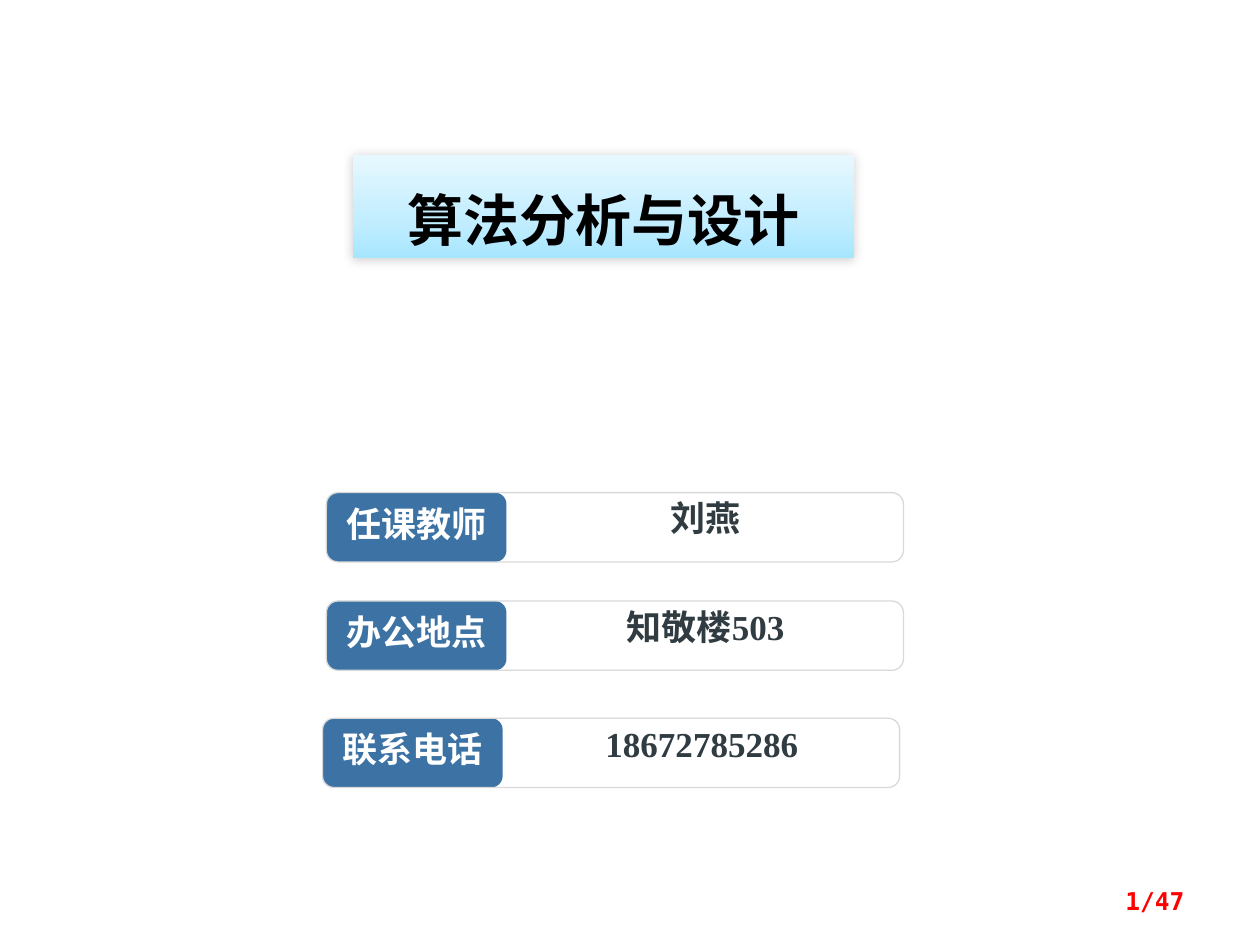
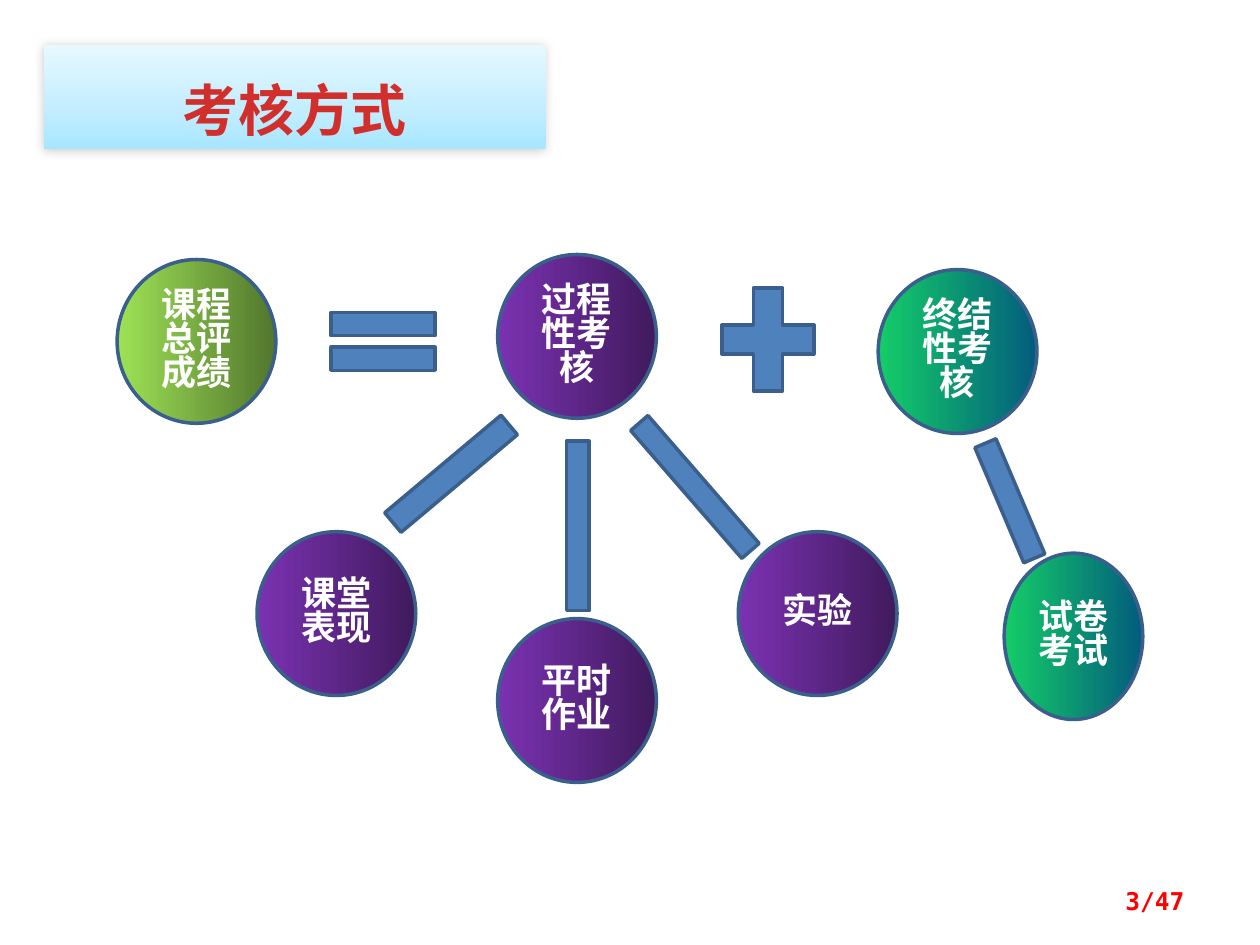
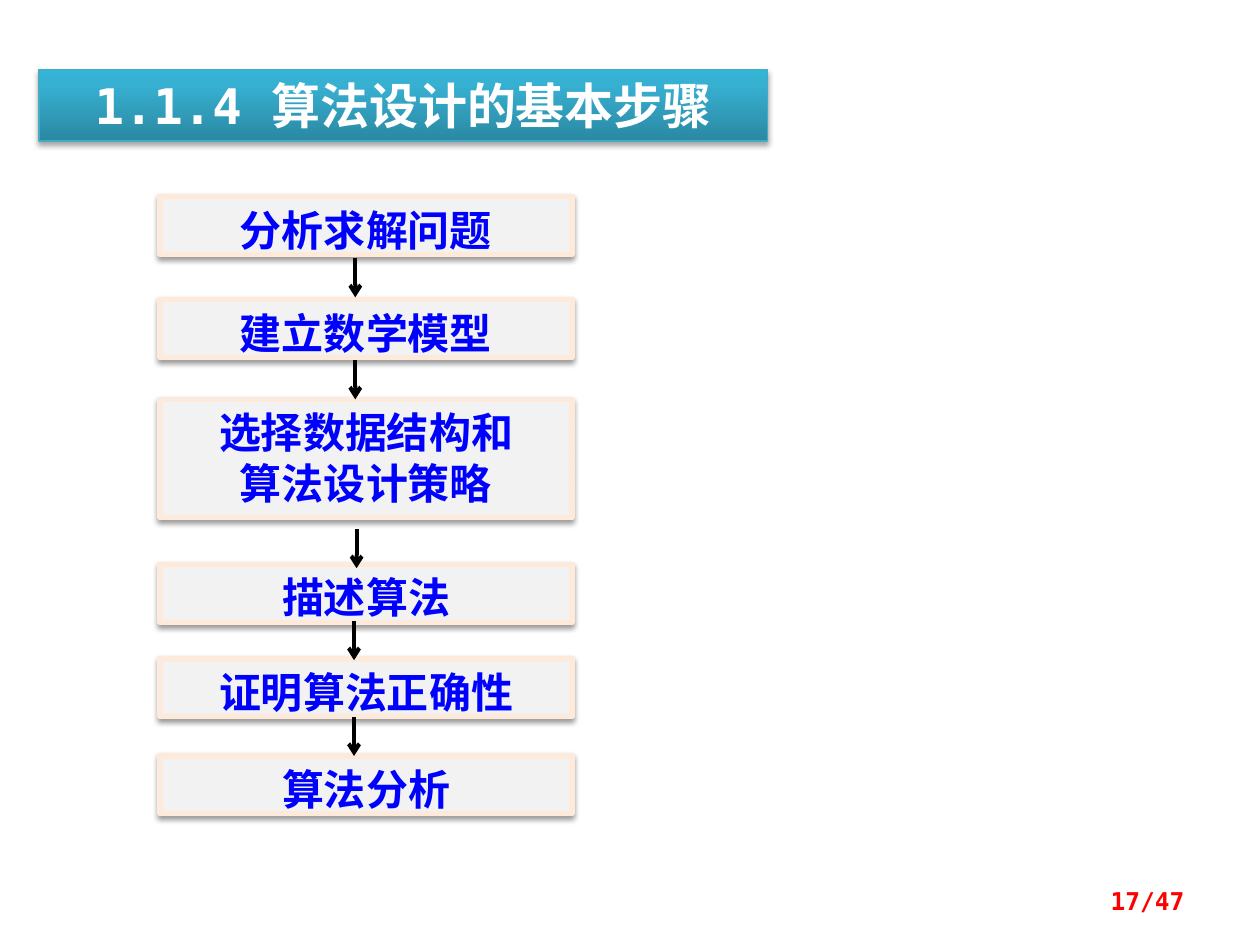
from dataclasses import dataclass

from copy import deepcopy
from lxml.etree import SubElement
from pptx import Presentation
from pptx.dml.color import RGBColor
from pptx.enum.shapes import MSO_CONNECTOR, MSO_SHAPE
from pptx.enum.text import MSO_ANCHOR, MSO_AUTO_SIZE, PP_ALIGN
from pptx.oxml.ns import qn
from pptx.util import Emu, Pt

PX = 9144


def px(n):
    return Emu(n * PX)


@dataclass(frozen=True)
class Theme:
    sans: str = "Noto Sans CJK SC"
    mono: str = "DejaVu Sans Mono"
    serif: str = "Times New Roman"
    body: str = "Calibri"
    black: str = "000000"
    white: str = "FFFFFF"
    red: str = "FF0000"
    title_red: str = "D02F2C"
    ink: str = "303C41"
    label: str = "3D73A4"
    frame: str = "D9D9D9"
    sign: str = "4F81BD"
    outline: str = "3A5F8C"
    step_fill: str = "F2F2F2"
    step_line: str = "FDEADA"
    step_text: str = "0000FF"
    teal_line: str = "46AAC5"
    sky: tuple = ((0, "A7E6FF"), (35, "C1EDFF"), (100, "E7F8FF"))
    teal: tuple = ((0, "2A88A2"), (80, "37B1D2"), (100, "34B4D6"))
    lime: tuple = ((0, "9EE256"), (100, "52762D"))
    purple: tuple = ((0, "7B32B2"), (100, "401A5D"))
    green: tuple = ((0, "14CD68"), (100, "035C7D"))
    sky_shadow: tuple = (20, 6, 1, 135)
    teal_shadow: tuple = (35, 3.1, 1.8, 90)
    step_shadow: tuple = (38, 3.1, 1.6, 90)
    title_size: int = 32
    section_size: int = 28
    step_size: int = 24
    text_size: int = 20
    page_size: int = 14


class Deck:
    def __init__(self, theme):
        self.t = theme
        self.prs = Presentation()
        self.prs.slide_width, self.prs.slide_height = px(1000), px(750)
        self.s = None

    def slide(self, page):
        self.s = self.prs.slides.add_slide(self.prs.slide_layouts[5])
        sp = self.s.shapes.add_textbox(px(717), px(695), px(233), px(40))
        self.text(sp, [f"{page}/47"], self.t.page_size, self.t.mono, self.t.red,
                  align=PP_ALIGN.RIGHT, anchor=MSO_ANCHOR.MIDDLE)

    def text(self, sp, lines, size, font, color, align=PP_ALIGN.CENTER,
             anchor=MSO_ANCHOR.TOP, spacing=1.0, insets=(10, 5, 10, 5)):
        tf = sp.text_frame
        tf.word_wrap = True
        tf.auto_size = MSO_AUTO_SIZE.NONE
        tf.vertical_anchor = anchor
        tf.margin_left, tf.margin_top, tf.margin_right, tf.margin_bottom = map(px, insets)
        for i, line in enumerate(lines):
            p = tf.add_paragraph() if i else tf.paragraphs[0]
            p.alignment = align
            p.line_spacing = spacing
            p.space_before = Pt(0)
            r = p.add_run()
            r.text = line
            r.font.name, r.font.size, r.font.bold = font, Pt(size), True
            r.font.color.rgb = RGBColor.from_string(color)
            SubElement(r.font._element, qn("a:ea"), typeface=self.t.sans)

    def paint(self, sp, fill=None, line=None, width=1, angle=0, shadow=None):
        if fill is None:
            sp.fill.background()
        elif isinstance(fill, str):
            sp.fill.solid()
            sp.fill.fore_color.rgb = RGBColor.from_string(fill)
        else:
            self.gradient(sp, fill, angle)
        if line:
            sp.line.color.rgb = RGBColor.from_string(line)
            sp.line.width = Pt(width)
        else:
            sp.line.fill.background()
        sp.shadow.inherit = False
        if shadow:
            self.cast(sp, *shadow)

    def gradient(self, sp, stops, angle):
        sp.fill.gradient()
        sp.fill.gradient_angle = angle
        gs_list = sp._element.spPr.find(qn("a:gradFill")).find(qn("a:gsLst"))
        for _ in stops[2:]:
            gs_list.append(deepcopy(gs_list[-1]))
        for gs, (position, color) in zip(sp.fill.gradient_stops, stops):
            gs.position = position / 100
            gs.color.rgb = RGBColor.from_string(color)

    def cast(self, sp, alpha, blur, dist, angle):
        effects = sp._element.spPr.find(qn("a:effectLst"))
        outer = SubElement(effects, qn("a:outerShdw"), blurRad=str(Pt(blur)),
                           dist=str(Pt(dist)), dir=str(angle * 60000), rotWithShape="0")
        color = SubElement(outer, qn("a:srgbClr"), val=self.t.black)
        SubElement(color, qn("a:alpha"), val=str(alpha * 1000))

    def place_title(self, x, y, w, h):
        sp = self.s.shapes.title
        sp.left, sp.top, sp.width, sp.height = map(px, (x, y, w, h))
        return sp

    def title(self, text, x, y, color):
        sp = self.place_title(x, y, 398, 82)
        self.paint(sp, self.t.sky, angle=90, shadow=self.t.sky_shadow)
        self.text(sp, [text], self.t.title_size, self.t.sans, color,
                  insets=(10, 24, 10, 5))

    def section(self, text):
        sp = self.place_title(31, 55, 578, 57)
        self.paint(sp, self.t.teal, self.t.teal_line, 0.75, 90, self.t.teal_shadow)
        self.text(sp, [text], self.t.section_size, self.t.mono, self.t.white)

    def shape(self, kind, x, y, w, h, **style):
        sp = self.s.shapes.add_shape(kind, px(x), px(y), px(w), px(h))
        self.paint(sp, **style)
        return sp

    def info_row(self, label, value, x, y):
        t = self.t
        sp = self.s.shapes.add_textbox(px(x + 145), px(y + 5), px(312), px(44))
        self.text(sp, [value], t.text_size, t.serif, t.ink, spacing=0.8)
        sp = self.shape(MSO_SHAPE.ROUNDED_RECTANGLE, x, y, 143, 55, fill=t.label)
        self.text(sp, [label], t.text_size, t.serif, t.white,
                  anchor=MSO_ANCHOR.MIDDLE, spacing=0.8)
        self.shape(MSO_SHAPE.ROUNDED_RECTANGLE, x, y, 458, 55, line=t.frame, width=0.75)

    def circle(self, text, x, y, fill, w=126, h=130):
        sp = self.shape(MSO_SHAPE.OVAL, x, y, w, h, fill=fill, line=self.t.outline, width=2)
        self.text(sp, [text], self.t.text_size, self.t.body, self.t.white,
                  anchor=MSO_ANCHOR.MIDDLE, spacing=0.8)

    def sign(self, kind, x, y, w, h, rotation=0):
        sp = self.shape(kind, x, y, w, h, fill=self.t.sign, line=self.t.outline, width=2)
        sp.rotation = rotation

    def step(self, lines, y):
        t = self.t
        h = 46 + 48 * (len(lines) - 1)
        sp = self.shape(MSO_SHAPE.RECTANGLE, 127, y, 327, h, fill=t.step_fill,
                        line=t.step_line, width=3, shadow=t.step_shadow)
        self.text(sp, lines, t.step_size, t.sans, t.step_text, insets=(0, 6, 0, 0))

    def arrow(self, x, y):
        c = self.s.shapes.add_connector(MSO_CONNECTOR.STRAIGHT, px(x), px(y), px(x), px(y + 31))
        c.line.color.rgb = RGBColor.from_string(self.t.black)
        c.line.width = Pt(2.25)
        SubElement(c.line._get_or_add_ln(), qn("a:tailEnd"), type="arrow")
        SubElement(c._element.spPr, qn("a:effectLst"))


def cover(d):
    d.slide(1)
    d.title("算法分析与设计", 280, 123, d.t.black)
    for label, value, x, y in (("任课教师", "刘燕", 259, 391),
                               ("办公地点", "知敬楼503", 259, 477),
                               ("联系电话", "18672785286", 256, 570)):
        d.info_row(label, value, x, y)


def grading(d):
    t = d.t
    d.slide(3)
    d.title("考核方式", 35, 36, t.title_red)
    d.sign(MSO_SHAPE.MATH_EQUAL, 248, 232, 112, 78)
    d.sign(MSO_SHAPE.MATH_PLUS, 560, 214, 99, 111)
    for x, y, w, h, rotation in ((276, 333, 164, 86, 320), (367, 379, 183, 77, 90),
                                 (460, 348, 183, 77, 49), (734, 359, 135, 77, 67)):
        d.sign(MSO_SHAPE.MATH_MINUS, x, y, w, h, rotation)
    for text, x, y, fill in (("课程总评成绩", 93, 206, t.lime),
                             ("过程性考核", 395, 202, t.purple),
                             ("终结性考核", 697, 214, t.green),
                             ("课堂表现", 204, 422, t.purple),
                             ("平时作业", 395, 491, t.purple),
                             ("实验", 586, 422, t.purple)):
        d.circle(text, x, y, fill)
    d.circle("试卷考试", 797, 439, t.green, 110, 132)


def design_steps(d):
    d.slide(17)
    d.section("1.1.4 算法设计的基本步骤")
    for y, *lines in ((156, "分析求解问题"), (238, "建立数学模型"),
                      (317, "选择数据结构和", "算法设计策略"),
                      (448, "描述算法"), (523, "证明算法正确性"), (600, "算法分析")):
        d.step(lines, y)
    for x, y in ((282, 205), (282, 286), (283, 420), (281, 493), (281, 569)):
        d.arrow(x, y)


def main():
    d = Deck(Theme())
    cover(d)
    grading(d)
    design_steps(d)
    d.prs.save("out.pptx")


if __name__ == "__main__":
    main()
